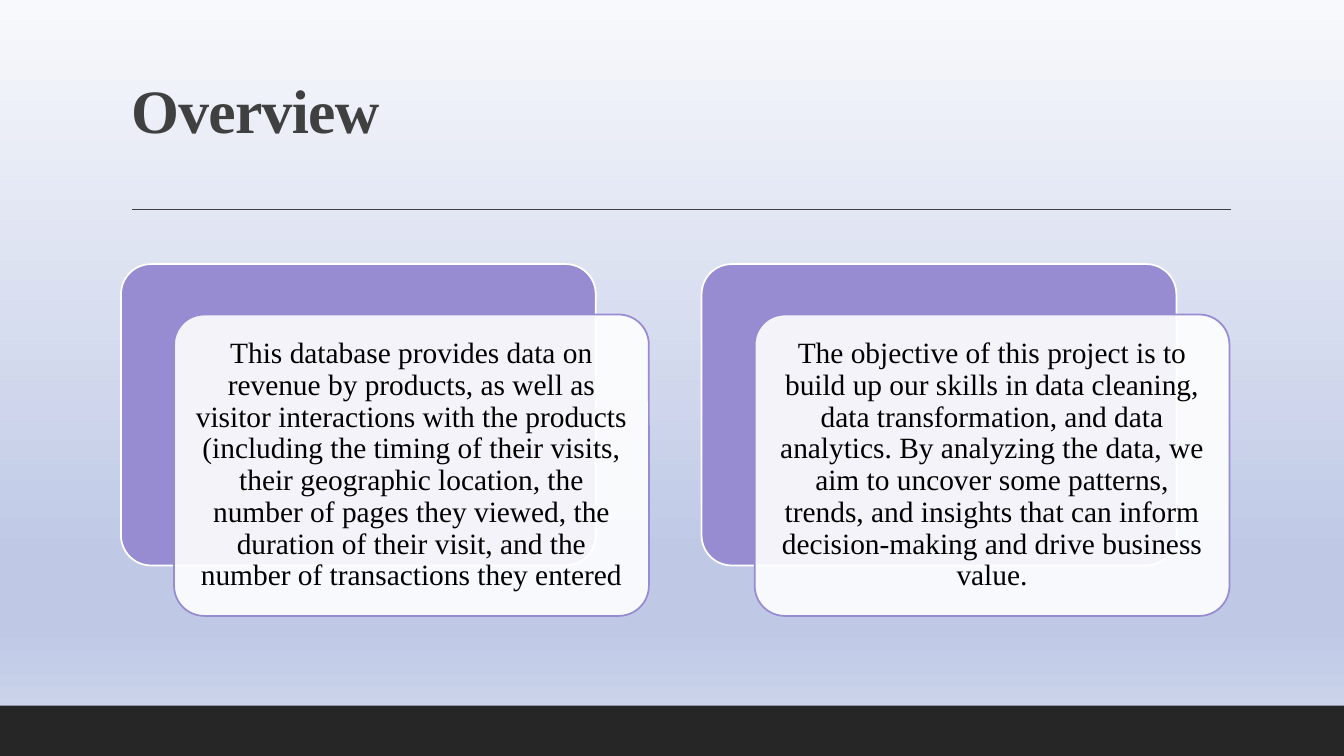
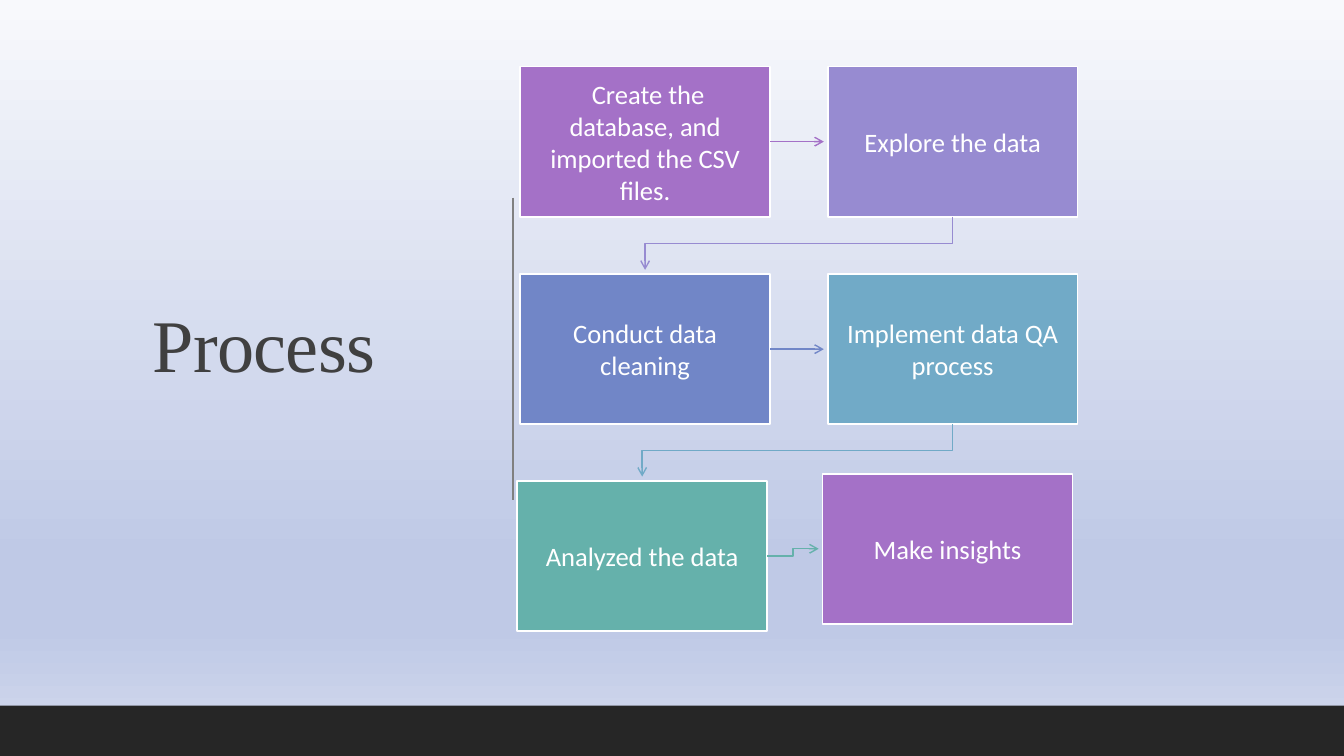
from copy import deepcopy
from pptx import Presentation
from pptx.dml.color import RGBColor as RGB
from pptx.enum.shapes import MSO_CONNECTOR as CXN, MSO_SHAPE as SHAPE
from pptx.enum.text import MSO_ANCHOR as ANCHOR, PP_ALIGN as ALIGN
from pptx.oxml.ns import qn
from pptx.oxml.xmlchemy import OxmlElement as Element
from pptx.util import Inches, Pt


class Theme:
    ink, rule, band = "404040", "808080", "262626"
    white, black = "FFFFFF", "000000"
    purple, violet, blue = "A471C7", "978BD1", "7186C7"
    sky, teal = "71AAC7", "65B1AB"
    backdrop = [(0, "F8F9FC"), (74, "BFC9E6"), (83, "BFC9E6"), (100, "D4DBEE")]
    edge, thin = Pt(1.25), Pt(1)
    title = dict(name="Times New Roman", color=ink, spc=-50)
    heading = dict(title, size=Pt(44), bold=True)
    side_title = dict(title, size=Pt(53))
    card = dict(name="Times New Roman", color=black, size=Pt(21))
    step = dict(name="Calibri", color=white, size=Pt(19))


prs = Presentation()
prs.slide_width, prs.slide_height = Inches(13.333), Inches(7.5)
X, Y = prs.slide_width / 100, prs.slide_height / 100


def add_box(s, area, kind=None, fill=None, edge=None, text="", font=None,
            pad=(0.75, 0.67), anchor=ANCHOR.MIDDLE, align=ALIGN.CENTER, spacing=0.9):
    place = [round(v * unit) for v, unit in zip(area, (X, Y, X, Y))]
    if kind is None:
        sp = s.shapes.add_textbox(*place)
    else:
        sp = s.shapes.add_shape(kind, *place)
        sp.shadow.inherit = False
        sp.fill.solid()
        sp.fill.fore_color.rgb = RGB.from_string(fill)
        if edge:
            sp.line.color.rgb = RGB.from_string(edge)
            sp.line.width = Theme.edge
        else:
            sp.line.fill.background()
    if text:
        tf, (px, py) = sp.text_frame, pad
        frame = dict(word_wrap=True, vertical_anchor=anchor,
                     margin_left=round(px * X), margin_right=round(px * X),
                     margin_top=round(py * Y), margin_bottom=round(py * Y))
        for name, value in frame.items():
            setattr(tf, name, value)
        p = tf.paragraphs[0]
        p.alignment, p.line_spacing = align, spacing
        r = p.add_run()
        r.text = text
        for name, value in font.items():
            if name == "color":
                r.font.color.rgb = RGB.from_string(value)
            elif name == "spc":
                r._r.get_or_add_rPr().set("spc", str(value))
            else:
                setattr(r.font, name, value)
    return sp


def add_line(s, start, end, color, kind=CXN.STRAIGHT, arrow=False, turned=False):
    (x1, y1), (x2, y2) = [(x * X, y * Y) for x, y in (start, end)]
    if turned:
        cx, cy, rx, ry = (x1 + x2) / 2, (y1 + y2) / 2, (y2 - y1) / 2, (x1 - x2) / 2
        x1, y1, x2, y2 = cx - rx, cy - ry, cx + rx, cy + ry
    cxn = s.shapes.add_connector(kind, *map(round, (x1, y1, x2, y2)))
    cxn.line.color.rgb = RGB.from_string(color)
    cxn.line.width = Theme.thin
    pr = cxn._element.spPr
    if turned:
        pr.find(qn("a:xfrm")).set("rot", "5400000")
    if arrow:
        tail = Element("a:tailEnd")
        tail.set("type", "arrow")
        pr.find(qn("a:ln")).append(tail)
    pr.append(Element("a:effectLst"))


slides = [prs.slides.add_slide(prs.slide_layouts[6]) for _ in range(2)]
for s in slides:
    bg = s.background.fill
    bg.gradient()
    bg.gradient_angle = 270
    stops = next(s.element.iter(qn("a:gsLst")))
    for _ in Theme.backdrop[2:]:
        stops.append(deepcopy(stops[0]))
    for stop, (position, color) in zip(bg.gradient_stops, Theme.backdrop):
        stop.position = position / 100
        stop.color.rgb = RGB.from_string(color)
    add_box(s, (0, 93.33, 100, 6.67), SHAPE.RECTANGLE, Theme.band)

overview, process = slides

add_box(overview, (9, 4.13, 82.5, 16), text="Overview", font=Theme.heading,
        anchor=ANCHOR.BOTTOM, align=ALIGN.LEFT)
add_line(overview, (9.83, 27.7), (91.58, 27.7), Theme.ink)

cards = [
    "This database provides data on revenue by products, as well as visitor interactions "
    "with the products (including the timing of their visits, their geographic location, "
    "the number of pages they viewed, the duration of their visit, and the number of "
    "transactions they entered",
    "The objective of this project is to build up our skills in data cleaning, data "
    "transformation, and data analytics. By analyzing the data, we aim to uncover some "
    "patterns, trends, and insights that can inform decision-making and drive business value.",
]
card_w, card_h, card_pitch = 35.33, 39.87, 43.2
for col, text in enumerate(cards):
    left, top = 9 + col * card_pitch, 34.93
    back = add_box(overview, (left, top, card_w, card_h), SHAPE.ROUNDED_RECTANGLE,
                   Theme.violet, Theme.white)
    front = add_box(overview, (left + 3.95, top + 6.67, card_w, card_h),
                    SHAPE.ROUNDED_RECTANGLE, Theme.white, Theme.violet, text,
                    Theme.card, pad=(0.68, 1.2))
    for sp in (back, front):
        sp.adjustments[0] = 0.1
    alpha = Element("a:alpha")
    alpha.set("val", "90000")
    front._element.spPr.find(qn("a:solidFill"))[0].append(alpha)

add_box(process, (5.25, 9.2, 23.4, 73.73), text="Process", font=Theme.side_title,
        align=ALIGN.RIGHT)
add_line(process, (38.18, 26.13), (38.18, 66.13), Theme.rule)

steps = [
    (" Create the database, and imported the CSV files.", Theme.purple, 0, 0),
    ("Explore the data", Theme.violet, 0, 0),
    ("Conduct data cleaning", Theme.blue, 0, 0),
    ("Implement data QA process", Theme.sky, 0, 0),
    ("Analyzed the data", Theme.teal, -0.22, -0.1),
    ("Make insights", Theme.purple, -0.38, -1.04),
]
step_w, step_h, pitch_x, pitch_y = 18.6, 19.87, 22.88, 27.45
gap_x, gap_y = 0.28, 0.55
corners = []
for i, (text, color, dx, dy) in enumerate(steps):
    row, col = divmod(i, 2)
    corner = 38.7 + col * pitch_x + dx, 8.8 + row * pitch_y + dy
    corners.append(corner)
    add_box(process, (*corner, step_w, step_h), SHAPE.RECTANGLE, color, Theme.white,
            text, Theme.step, pad=(0.9, 1.73), spacing=1)

for i, ((x1, y1), (x2, y2)) in enumerate(zip(corners, corners[1:])):
    color = steps[i][1]
    if i % 2:
        add_line(process, (x1 + step_w / 2, y1 + step_h), (x2 + step_w / 2, y2 - gap_y),
                 color, CXN.ELBOW, arrow=True, turned=True)
    else:
        kind = CXN.STRAIGHT if y1 == y2 else CXN.ELBOW
        add_line(process, (x1 + step_w, y1 + step_h / 2), (x2 - gap_x, y2 + step_h / 2),
                 color, kind, arrow=True)

prs.save("out.pptx")
